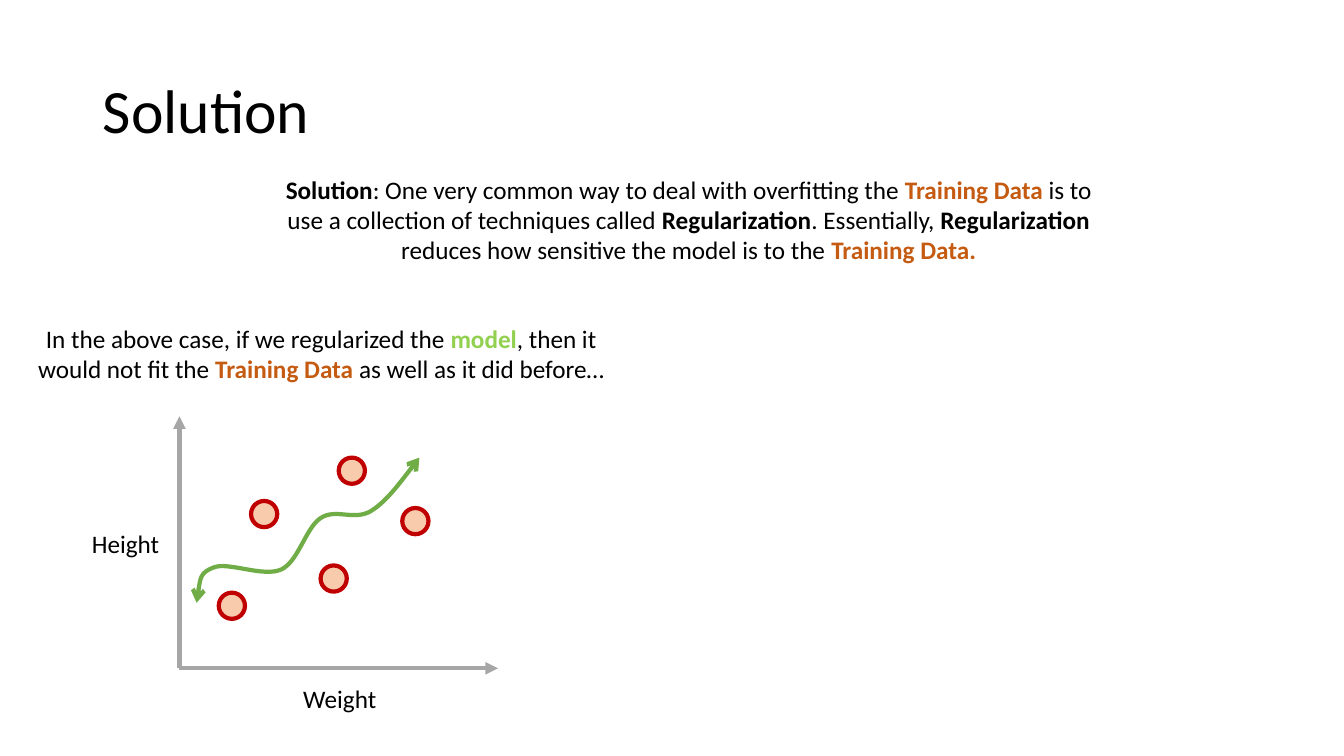
from lxml import etree
from pptx import Presentation
from pptx.dml.color import RGBColor
from pptx.enum.shapes import MSO_CONNECTOR as CONNECTOR, MSO_SHAPE as SHAPE
from pptx.enum.text import MSO_ANCHOR as ANCHOR, MSO_AUTO_SIZE as AUTO, PP_ALIGN as ALIGN
from pptx.oxml.ns import qn
from pptx.util import Emu, Pt

PX = 9144  # EMU per px, 100 px to the inch
FONT = "Calibri"
BLACK = RGBColor(0x00, 0x00, 0x00)
ORANGE = RGBColor(0xC5, 0x5A, 0x11)
LIME = RGBColor(0x92, 0xD0, 0x50)
GREY = RGBColor(0xA6, 0xA6, 0xA6)
GREEN = RGBColor(0x70, 0xAD, 0x47)
RED = RGBColor(0xC0, 0x00, 0x00)
PEACH = RGBColor(0xF8, 0xCB, 0xAD)

# Text styles
PLAIN = {"color": BLACK, "bold": False}
STRONG = {"color": BLACK, "bold": True}
DATA = {"color": ORANGE, "bold": True}
MODEL = {"color": LIME, "bold": True}

SOLUTION = [
    ("Solution", STRONG),
    (": One very common way to deal with overfitting the ", PLAIN),
    ("Training Data ", DATA),
    ("is to use a collection of techniques called ", PLAIN),
    ("Regularization", STRONG),
    (". Essentially, ", PLAIN),
    ("Regularization", STRONG),
    (" reduces how sensitive the model is to the ", PLAIN),
    ("Training Data.", DATA),
]
EXAMPLE = [
    ("In the above case, if we regularized the ", PLAIN),
    ("model", MODEL),
    (", then it would not fit the ", PLAIN),
    ("Training Data ", DATA),
    ("as well as it did before…", PLAIN),
]

# Scatter plot, in px
ORIGIN = (178, 663)
AXIS_ENDS = [(178, 413), (494, 663)]
POINT_SIZE = 26
POINTS = [(217, 588), (249, 497), (318, 561), (336, 454), (399, 504)]
CURVE_START = (195, 598)
CURVE = [  # two control points and an end point per segment
    [(197, 583), (198, 568), (212, 563)],
    [(226, 557), (261, 573), (279, 565)],
    [(296, 557), (303, 524), (318, 514)],
    [(333, 504), (351, 517), (368, 507)],
    [(384, 497), (416, 454), (416, 454)],
]


def px(*lengths):
    return [Emu(length * PX) for length in lengths]


def add_spans(para, spans, size):
    for text, style in spans:
        span = para.add_run()
        span.text = text
        span.font.color.rgb = style["color"]
        formats = {"name": FONT, "size": Pt(size), "bold": style["bold"]}
        for name, value in formats.items():
            setattr(span.font, name, value)


def set_title(page, text, area):
    title = page.shapes.title
    title.left, title.top, title.width, title.height = px(*area)
    frame = title.text_frame
    frame.auto_size = AUTO.NONE
    frame.vertical_anchor = ANCHOR.MIDDLE
    para = frame.paragraphs[0]
    para.alignment = ALIGN.LEFT
    para.line_spacing = 0.9
    add_spans(para, [(text, PLAIN)], 44)


def add_text(page, spans, area):
    frame = page.shapes.add_textbox(*px(*area)).text_frame
    frame.word_wrap = True
    frame.auto_size = AUTO.SHAPE_TO_FIT_TEXT
    para = frame.paragraphs[0]
    para.alignment = ALIGN.CENTER
    add_spans(para, spans, 18)


def set_line(shape, color, **heads):
    shape.line.color.rgb = color
    shape.line.width = Pt(3)
    outline = shape.line._get_or_add_ln()
    for end, kind in heads.items():
        etree.SubElement(outline, qn(f"a:{end}"), type=kind)


def add_axis(page, end):
    axis = page.shapes.add_connector(CONNECTOR.STRAIGHT, *px(*ORIGIN, *end))
    set_line(axis, GREY, tailEnd="triangle")
    etree.SubElement(axis._element.spPr, qn("a:effectLst"))


def add_point(page, left, top):
    point = page.shapes.add_shape(SHAPE.OVAL, *px(left, top, POINT_SIZE, POINT_SIZE))
    point.shadow.inherit = False
    point.fill.solid()
    point.fill.fore_color.rgb = PEACH
    set_line(point, RED)


def add_curve(page):
    builder = page.shapes.build_freeform(*CURVE_START, scale=PX)
    builder.add_line_segments([segment[-1] for segment in CURVE], close=False)
    curve = builder.convert_to_shape()
    curve.shadow.inherit = False
    curve.fill.background()
    set_line(curve, GREEN, headEnd="arrow", tailEnd="arrow")
    # Bend each straight segment into a cubic one
    left, top = curve.left // PX, curve.top // PX
    straights = list(curve._element.iter(qn("a:lnTo")))
    for straight, segment in zip(straights, CURVE):
        bend = etree.Element(qn("a:cubicBezTo"))
        for x, y in segment:
            etree.SubElement(bend, qn("a:pt"), x=str(x - left), y=str(y - top))
        straight.getparent().replace(straight, bend)


def main():
    deck = Presentation()
    deck.slide_width, deck.slide_height = px(1333, 750)
    page = deck.slides.add_slide(deck.slide_layouts[5])

    # Title and explanation
    set_title(page, "Solution", (92, 40, 584, 145))
    add_text(page, SOLUTION, (262, 168, 842, 101))

    # Plot of height against weight
    for end in AXIS_ENDS:
        add_axis(page, end)
    for left, top in POINTS:
        add_point(page, left, top)
    add_text(page, [("Height", PLAIN)], (80, 519, 89, 38))
    add_text(page, [("Weight", PLAIN)], (286, 673, 102, 37))
    add_curve(page)

    # Caption above the plot
    add_text(page, EXAMPLE, (21, 316, 595, 71))
    deck.save("out.pptx")


if __name__ == "__main__":
    main()
